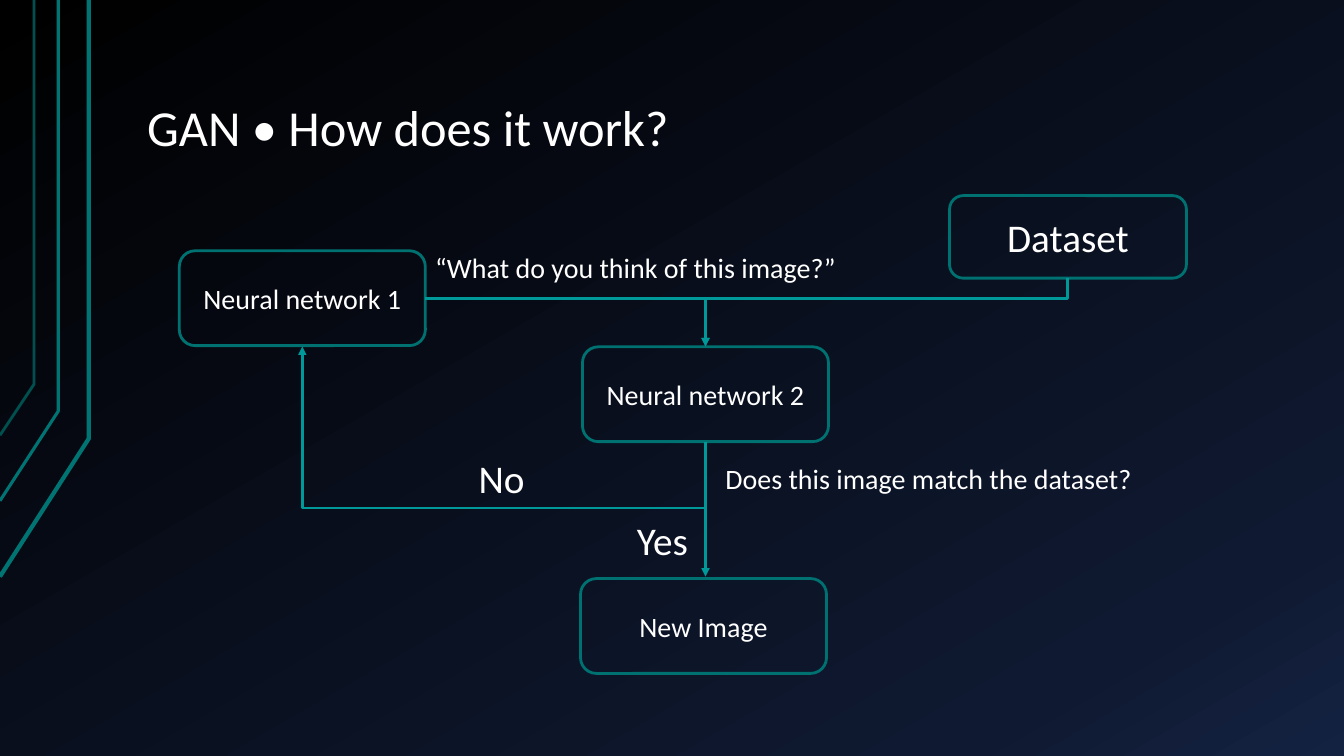
from copy import deepcopy

from lxml.etree import SubElement
from pptx import Presentation
from pptx.dml.color import RGBColor
from pptx.enum.shapes import MSO_CONNECTOR, MSO_SHAPE
from pptx.enum.text import MSO_ANCHOR, MSO_AUTO_SIZE, PP_ALIGN
from pptx.oxml.ns import qn
from pptx.util import Cm, Pt

COLORS = {
    "text": "FFFFFF", "box": "007171", "arrow": "009999",
    "rail": "007373", "faint": "005050",
    "top": "000000", "middle": "0F1931", "bottom": "142242",
}


def rgb(name):
    return RGBColor.from_string(COLORS[name])


class Deck:
    """Holds the style and the current slide, with a method per kind of element."""

    font = "Calibri"

    def __init__(self):
        self.prs = Presentation()
        self.prs.slide_width, self.prs.slide_height = Cm(33.87), Cm(19.05)
        self.s = self.prs.slides.add_slide(self.prs.slide_layouts[5])

    def background(self, stops, angle):
        fill = self.s.background.fill
        fill.gradient()
        fill.gradient_angle = angle
        gs_list = self.s.background._cSld.find(".//" + qn("a:gsLst"))
        gs_list.append(deepcopy(gs_list[-1]))
        for stop, (position, color) in zip(fill.gradient_stops, stops):
            stop.position = position
            stop.color.rgb = rgb(color)

    def set_text(self, tf, text, size, align, anchor):
        tf.word_wrap = True
        tf.auto_size = MSO_AUTO_SIZE.NONE
        tf.vertical_anchor = anchor
        p = tf.paragraphs[0]
        p.text = text
        p.alignment = align
        p.font.name = self.font
        p.font.size = Pt(size)
        p.font.color.rgb = rgb("text")
        return p

    def title(self, text, x, y, w, h):
        sp = self.s.shapes.title
        sp.left, sp.top, sp.width, sp.height = Cm(x), Cm(y), Cm(w), Cm(h)
        tf = sp.text_frame
        tf.margin_left = tf.margin_right = Cm(0.33)
        tf.margin_top = tf.margin_bottom = Cm(0.18)
        p = self.set_text(tf, text, 36, PP_ALIGN.LEFT, MSO_ANCHOR.BOTTOM)
        p.line_spacing = 0.9

    def rail(self, x, bend, end, width, color):
        builder = self.s.shapes.build_freeform(0, Cm(end))
        builder.add_line_segments([(Cm(x), Cm(bend)), (Cm(x), 0)], close=False)
        sp = builder.convert_to_shape()
        sp.shadow.inherit = False
        sp.fill.background()
        sp.line.color.rgb = rgb(color)
        sp.line.width = Pt(width)

    def box(self, text, x, y, w=6.2, h=2.39, size=20):
        sp = self.s.shapes.add_shape(
            MSO_SHAPE.ROUNDED_RECTANGLE, Cm(x), Cm(y), Cm(w), Cm(h))
        sp.shadow.inherit = False
        sp.fill.background()
        sp.line.color.rgb = rgb("box")
        sp.line.width = Pt(2)
        self.set_text(sp.text_frame, text, size, PP_ALIGN.CENTER, MSO_ANCHOR.MIDDLE)

    def label(self, text, x, y, w, h, size=20, align=PP_ALIGN.LEFT):
        sp = self.s.shapes.add_textbox(Cm(x), Cm(y), Cm(w), Cm(h))
        self.set_text(sp.text_frame, text, size, align, MSO_ANCHOR.TOP)

    def arrow(self, kind, x1, y1, x2, y2):
        c = self.s.shapes.add_connector(kind, Cm(x1), Cm(y1), Cm(x2), Cm(y2))
        c.line.color.rgb = rgb("arrow")
        c.line.width = Pt(2)
        sp_pr = c._element.spPr
        SubElement(sp_pr.find(qn("a:ln")), qn("a:tailEnd"), type="triangle")
        SubElement(sp_pr, qn("a:effectLst"))
        return sp_pr

    def corner_arrow(self, x1, y1, x2, y2):
        sp_pr = self.arrow(MSO_CONNECTOR.ELBOW, x1, y1, x2, y2)
        sp_pr.find(qn("a:prstGeom")).set("prst", "bentConnector2")

    def vertical_elbow(self, x1, y1, x2, y2, turn_y):
        cx, cy = (x1 + x2) / 2, (y1 + y2) / 2
        dx, dy = (x2 - x1) / 2, (y2 - y1) / 2
        sp_pr = self.arrow(MSO_CONNECTOR.ELBOW, cx - dy, cy + dx, cx + dy, cy - dx)
        sp_pr.find(qn("a:xfrm")).set("rot", str(90 * 60000))
        share = round((turn_y - y1) / (y2 - y1) * 100000)
        guides = sp_pr.find(qn("a:prstGeom")).get_or_add_avLst()
        SubElement(guides, qn("a:gd"), name="adj1", fmla=f"val {share}")


def main():
    deck = Deck()
    deck.background([(0, "top"), (0.85, "middle"), (1, "bottom")], 300)
    deck.rail(2.24, 11.05, 14.53, 3, "rail")
    deck.rail(1.47, 10.36, 12.62, 2.25, "rail")
    deck.rail(0.86, 9.68, 10.97, 2, "faint")
    deck.title("GAN • How does it work?", 3.38, 0.76, 28.78, 3.4)

    deck.box("Neural network 1", 4.52, 6.32)
    deck.box("Neural network 2", 14.68, 8.74)
    deck.box("New Image", 14.63, 14.58)
    deck.box("Dataset", 23.93, 4.93, 5.97, 2.08, 28)

    left, middle, right = 7.62, 17.78, 26.91
    deck.vertical_elbow(middle, 11.13, left, 8.73, 12.8)
    deck.arrow(MSO_CONNECTOR.STRAIGHT, middle, 11.13, middle, 14.53)
    deck.corner_arrow(10.72, 7.52, middle, 8.73)
    deck.vertical_elbow(right, 7.01, middle, 8.73, 7.52)

    deck.label("“What do you think of this image?”", 10.52, 6.2, 11, 1.12,
               align=PP_ALIGN.CENTER)
    deck.label("Does this image match the dataset?", 18.03, 11.51, 11.86, 1.12)
    deck.label("No", 11.81, 11.33, 2.01, 1.45, 28)
    deck.label("Yes", 15.8, 12.88, 1.8, 1.45, 28)
    deck.prs.save("out.pptx")


if __name__ == "__main__":
    main()
